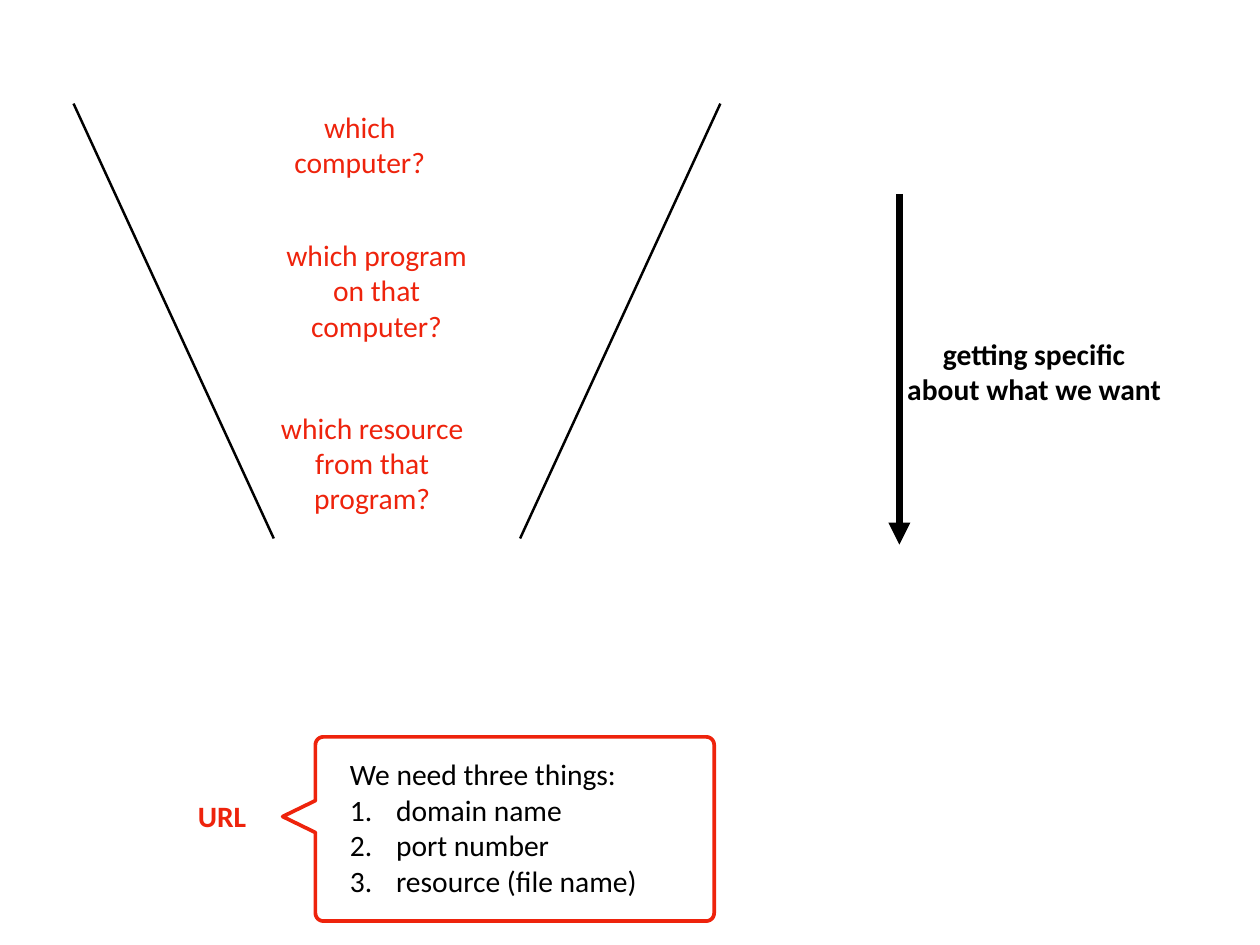
import math

from lxml import etree
from pptx import Presentation
from pptx.dml.color import RGBColor
from pptx.enum.shapes import MSO_CONNECTOR
from pptx.enum.text import MSO_ANCHOR, PP_ALIGN
from pptx.oxml.ns import qn
from pptx.util import Inches, Pt

RED = RGBColor(0xEE, 0x23, 0x0C)
BLACK = RGBColor(0, 0, 0)
STRAIGHT = MSO_CONNECTOR.STRAIGHT
TOP, MIDDLE = MSO_ANCHOR.TOP, MSO_ANCHOR.MIDDLE
LEFT, CENTER = PP_ALIGN.LEFT, PP_ALIGN.CENTER


class Sketch:
    """Draws text, lines and callouts on one slide in a shared style."""

    font_name = "Calibri"
    font_size = Pt(24)
    inset = Inches(0.06)
    list_indent = Inches(0.52)

    def __init__(self, page):
        self.page = page

    def text(self, place, lines, color, bold=False, align=CENTER, anchor=MIDDLE):
        box = self.page.shapes.add_textbox(*map(Inches, place))
        frame = box.text_frame
        frame.margin_left = frame.margin_right = self.inset
        frame.margin_top = frame.margin_bottom = self.inset
        frame.word_wrap = True
        frame.vertical_anchor = anchor
        frame.text = "\n".join(lines)
        for para in frame.paragraphs:
            para.alignment = align
            for span in para.runs:
                span.font.name = self.font_name
                span.font.size = self.font_size
                span.font.bold = bold
                span.font.color.rgb = color
        return frame

    def number(self, paragraphs):
        for para in paragraphs:
            properties = para._p.get_or_add_pPr()
            properties.set("marL", str(self.list_indent))
            properties.set("indent", str(-self.list_indent))
            etree.SubElement(properties, qn("a:buAutoNum"), type="arabicPeriod")

    def line(self, start, end, width, arrow=False):
        line = self.page.shapes.add_connector(STRAIGHT, *map(Inches, start + end))
        line.line.color.rgb = BLACK
        line.line.width = Pt(width)
        if arrow:
            outline = line.line._get_or_add_ln()
            etree.SubElement(outline, qn("a:tailEnd"), type="triangle")
        etree.SubElement(line._element.spPr, qn("a:effectLst"))

    def callout(self, left, top, right, bottom, tip, wedge, radius):
        tip_x, tip_y = tip
        points = [(left, tip_y + wedge), tip, (left, tip_y - wedge)]
        corners = [
            (left + radius, top + radius, 180),
            (right - radius, top + radius, 270),
            (right - radius, bottom - radius, 0),
            (left + radius, bottom - radius, 90),
        ]
        for x, y, first_angle in corners:
            for step in range(0, 91, 15):
                angle = math.radians(first_angle + step)
                points.append((x + radius * math.cos(angle), y + radius * math.sin(angle)))
        points = [(Inches(x), Inches(y)) for x, y in points]
        builder = self.page.shapes.build_freeform(*points[0])
        builder.add_line_segments(points[1:], close=True)
        shape = builder.convert_to_shape()
        shape.shadow.inherit = False
        shape.fill.background()
        shape.line.color.rgb = RED
        shape.line.width = Pt(3)


def main():
    deck = Presentation()
    deck.slide_width, deck.slide_height = Inches(14.22), Inches(10.67)
    sketch = Sketch(deck.slides.add_slide(deck.slide_layouts[6]))

    sketch.callout(3.56, 8.32, 8.06, 10.4, tip=(3.19, 9.22), wedge=0.18, radius=0.09)
    sketch.text((2.07, 8.96, 0.87, 0.5), ["URL"], RED, bold=True)

    funnel_center = 4.48
    for side in (-1, 1):
        sketch.line(
            (funnel_center + side * 1.39, 6.08), (funnel_center + side * 3.65, 1.17), 2
        )

    questions = [
        ((3.16, 1.17, 1.8, 0.92), ["which computer?"]),
        ((3.16, 2.61, 2.18, 1.33), ["which program", "on that computer?"]),
        ((3.11, 4.56, 2.18, 1.33), ["which resource", "from that program?"]),
    ]
    for place, lines in questions:
        sketch.text(place, lines, RED)

    sketch.line((10.15, 2.19), (10.15, 6.15), 6, arrow=True)
    sketch.text(
        (10.02, 3.73, 3.3, 0.92), ["getting specific", "about what we want"], BLACK, bold=True
    )

    needs = sketch.text(
        (3.89, 8.48, 4.43, 2.32),
        ["We need three things:", "domain name", "port number", "resource (file name)"],
        BLACK, align=LEFT, anchor=TOP,
    )
    sketch.number(needs.paragraphs[1:])
    deck.save("out.pptx")


if __name__ == "__main__":
    main()
